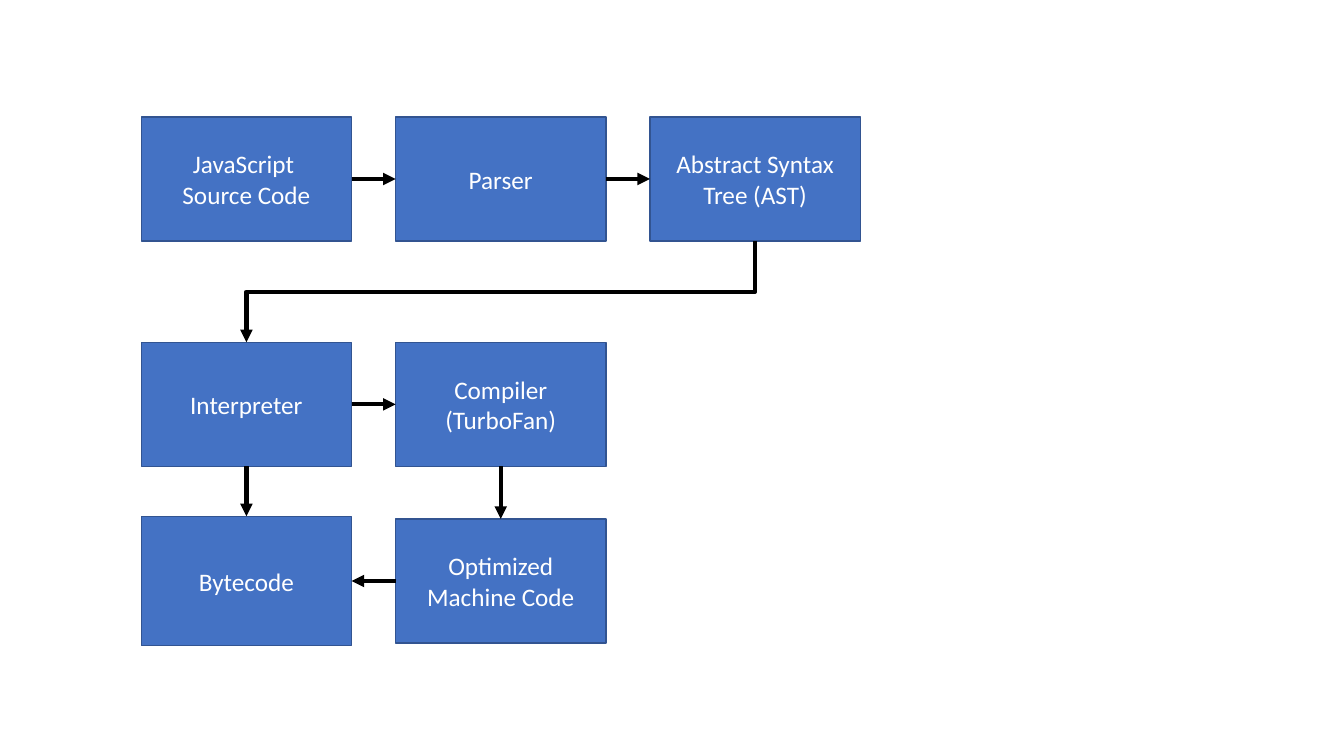
"""Build a slide showing how JavaScript source code becomes bytecode."""
from dataclasses import dataclass

import pptx
import pptx.dml.color
import pptx.enum.shapes
import pptx.enum.text
import pptx.oxml.ns
import pptx.shapes.autoshape
import pptx.shapes.connector
import pptx.slide
import pptx.util
from lxml import etree
from pptx.util import Cm

COLORS = {"fill": "4472C4", "outline": "325491", "text": "FFFFFF", "arrow": "000000"}
FONT_FORMAT = {"name": "Calibri", "size": pptx.util.Pt(18)}
BOX_WIDTH = 5.3
BOX_HEIGHT = 3.13
FIRST_LEFT = 3.56
COLUMN_PITCH = 6.41
ROW_CENTERS = (4.51, 10.19, 14.64)
TOP, LEFT, BOTTOM, RIGHT = range(4)


@dataclass(frozen=True)
class Stage:
    lines: tuple[str, ...]
    column: int
    row: int
    height: float = BOX_HEIGHT


@dataclass(frozen=True)
class Arrow:
    source: str
    source_side: int
    target: str
    target_side: int
    bent: bool = False


STAGES = {
    "source": Stage(("JavaScript ", "Source Code"), 0, 0),
    "parser": Stage(("Parser",), 1, 0),
    "tree": Stage(("Abstract Syntax Tree (AST)",), 2, 0),
    "interpreter": Stage(("Interpreter",), 0, 1),
    "bytecode": Stage(("Bytecode",), 0, 2, 3.26),
    "compiler": Stage(("Compiler (TurboFan)",), 1, 1),
    "machine": Stage(("Optimized Machine Code",), 1, 2),
}
ARROWS = (
    Arrow("source", RIGHT, "parser", LEFT),
    Arrow("parser", RIGHT, "tree", LEFT),
    Arrow("tree", BOTTOM, "interpreter", TOP, bent=True),
    Arrow("interpreter", BOTTOM, "bytecode", TOP),
    Arrow("interpreter", RIGHT, "compiler", LEFT),
    Arrow("machine", LEFT, "bytecode", RIGHT),
    Arrow("compiler", BOTTOM, "machine", TOP),
)


def color(name: str) -> pptx.dml.color.RGBColor:
    return pptx.dml.color.RGBColor.from_string(COLORS[name])


def draw_stage(slide: pptx.slide.Slide, stage: Stage) -> pptx.shapes.autoshape.Shape:
    shape = slide.shapes.add_shape(
        pptx.enum.shapes.MSO_SHAPE.RECTANGLE,
        Cm(FIRST_LEFT + stage.column * COLUMN_PITCH),
        Cm(ROW_CENTERS[stage.row] - stage.height / 2),
        Cm(BOX_WIDTH),
        Cm(stage.height),
    )
    shape.shadow.inherit = False
    shape.fill.solid()
    shape.fill.fore_color.rgb = color("fill")
    shape.line.color.rgb = color("outline")
    shape.line.width = pptx.util.Pt(1)
    frame = shape.text_frame
    frame.word_wrap = True
    frame.vertical_anchor = pptx.enum.text.MSO_ANCHOR.MIDDLE
    for index, line in enumerate(stage.lines):
        paragraph = frame.add_paragraph() if index else frame.paragraphs[0]
        paragraph.alignment = pptx.enum.text.PP_ALIGN.CENTER
        run = paragraph.add_run()
        run.text = line
        for attribute, value in FONT_FORMAT.items():
            setattr(run.font, attribute, value)
        run.font.color.rgb = color("text")
    return shape


def turn_downward(connector: pptx.shapes.connector.Connector) -> None:
    span = connector.begin_x - connector.end_x
    drop = connector.end_y - connector.begin_y
    center_x = (connector.begin_x + connector.end_x) // 2
    center_y = (connector.begin_y + connector.end_y) // 2
    transform = connector._element.spPr.xfrm
    transform.flipH = False
    transform.rot = 90
    connector.left, connector.top = center_x - drop // 2, center_y - span // 2
    connector.width, connector.height = drop, span


def draw_arrow(
    slide: pptx.slide.Slide,
    arrow: Arrow,
    shapes: dict[str, pptx.shapes.autoshape.Shape],
) -> None:
    kinds = pptx.enum.shapes.MSO_CONNECTOR
    kind = kinds.ELBOW if arrow.bent else kinds.STRAIGHT
    connector = slide.shapes.add_connector(kind, 0, 0, 0, 0)
    connector.begin_connect(shapes[arrow.source], arrow.source_side)
    connector.end_connect(shapes[arrow.target], arrow.target_side)
    if arrow.bent:
        turn_downward(connector)
    connector.line.color.rgb = color("arrow")
    connector.line.width = pptx.util.Pt(3)
    name = pptx.oxml.ns.qn
    etree.SubElement(connector.line._get_or_add_ln(), name("a:tailEnd"), type="triangle")
    etree.SubElement(connector._element.spPr, name("a:effectLst"))


def main() -> None:
    presentation = pptx.Presentation()
    presentation.slide_width = Cm(33.87)
    presentation.slide_height = Cm(19.05)
    slide = presentation.slides.add_slide(presentation.slide_layouts[6])
    shapes = {key: draw_stage(slide, stage) for key, stage in STAGES.items()}
    for arrow in ARROWS:
        draw_arrow(slide, arrow, shapes)
    presentation.save("out.pptx")


if __name__ == "__main__":
    main()
